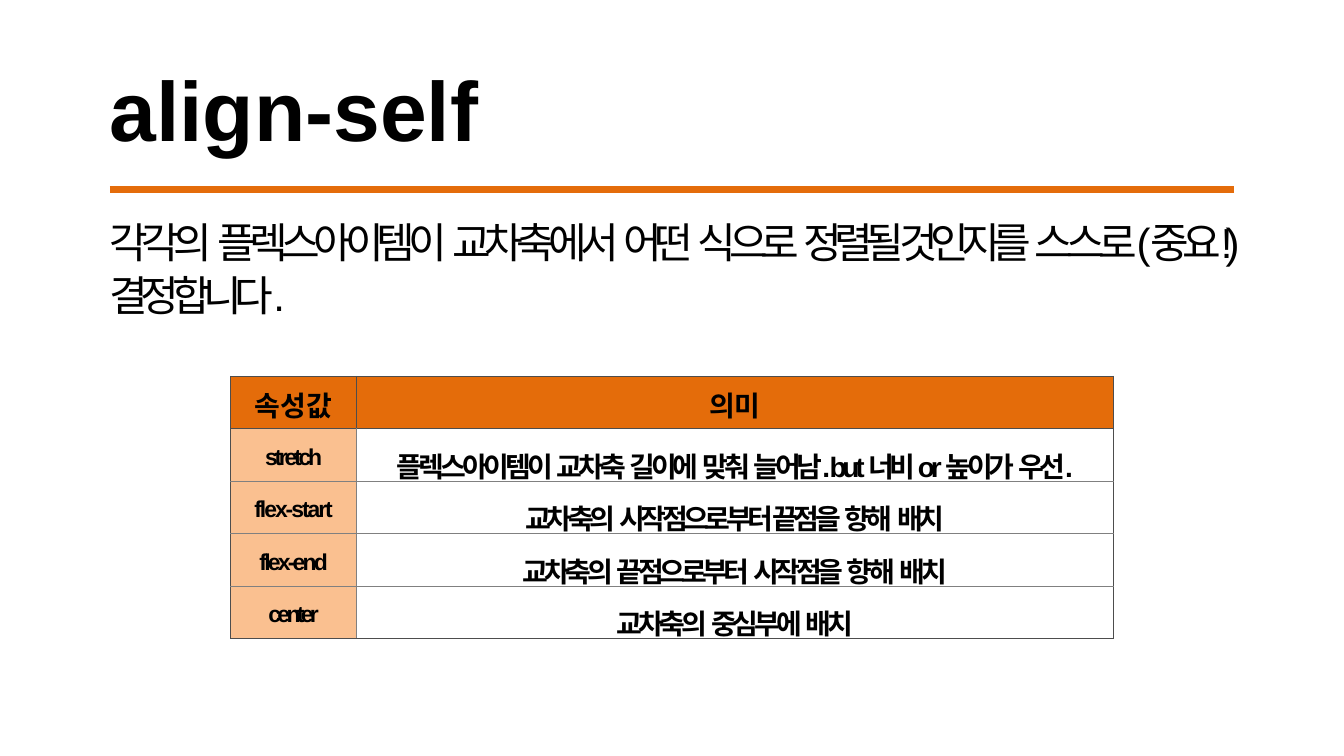
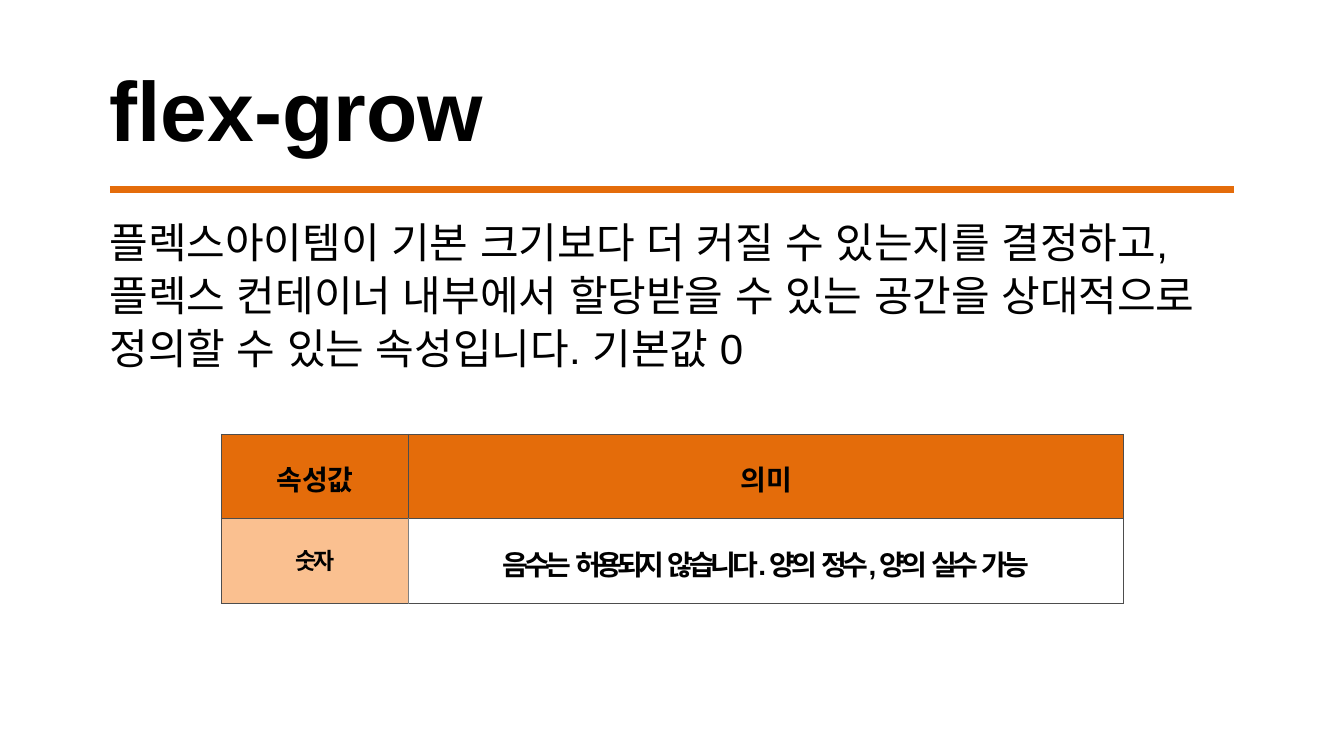
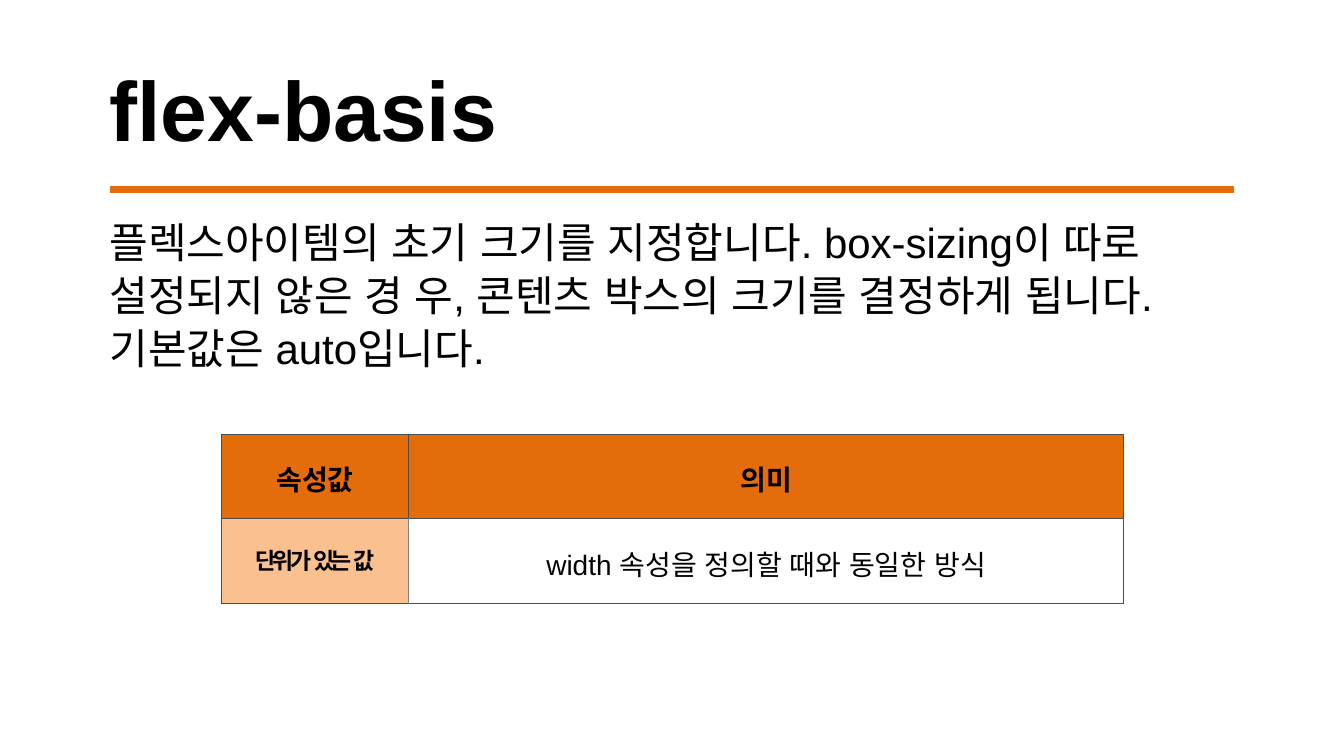
import pptx
import pptx.util
import pptx.dml.color
import pptx.enum.lang
import pptx.enum.shapes
import pptx.enum.text
import pptx.oxml.ns
import lxml.etree

Cm = pptx.util.Cm
Pt = pptx.util.Pt
RGBColor = pptx.dml.color.RGBColor
qn = pptx.oxml.ns.qn

# Shared look
ORANGE = RGBColor(0xE4, 0x6C, 0x0A)
PEACH = RGBColor(0xFA, 0xC0, 0x90)
BLACK = RGBColor(0x00, 0x00, 0x00)
DARK_GRAY = RGBColor(0x4D, 0x4D, 0x4D)
GRAY = RGBColor(0x80, 0x80, 0x80)
KOREAN_FACE = "Noto Sans CJK KR"
LEFT = Cm(4.55)
HEADER = ("속성값", "의미")

# Texts are lists of (words, letter spacing in points)
# Rows: label, meaning, meaning in bold
TOPICS = [
    dict(
        title="align-self", title_width=18.11,
        summary=[("각각의 ", -7.5), ("플렉스아이템이 ", -8), ("교차축에서 ", -7.8),
                 ("어떤 ", -8.9), ("식으로 ", -8.4), ("정렬될 것인지를 ", -9.2),
                 ("스스로(중요!) ", -8.2), ("결정합니다.", -8.6)],
        summary_size=(46.76, 4.5),
        table_at=(9.58, 15.64), columns=(5.24, 31.44), row_height=2.18,
        header_face="Comic Neue", header_inset=0.33, inset=0.66,
        rows=[
            ([("stretch", -3.8)],
             [("플렉스아이템이 ", -4.8), ("교차축 ", -4.7), ("길이에 ", -5),
              ("맞춰 ", -4.8), ("늘어남. but ", -5), ("너비 ", -5.7),
              ("or ", -4.8), ("높이가 ", -4.9), ("우선.", -5.4)], True),
            ([("flex-start", -2.4)],
             [("교차축의 ", -4.9), ("시작점으로부터 끝점을 ", -5.2),
              ("향해 ", -3.9), ("배치", -4.8)], True),
            ([("flex-end", -3.3)],
             [("교차축의 ", -4.9), ("끝점으로부터 ", -5.2), ("시작점을 ", -5),
              ("향해 ", -3.9), ("배치", -4.8)], True),
            ([("center", -4.3)],
             [("교차축의 ", -4.9), ("중심부에 ", -4.8), ("배치", -4.9)], True),
        ]),
    dict(
        title="flex-grow", title_width=20.02,
        summary=[("플렉스아이템이 기본 크기보다 더 커질 수 있는지를 결정하고, "
                  "플렉스 컨테이너 내부에서 할당받을 수 있는 공간을 상대적으로 "
                  "정의할 수 있는 속성입니다. 기본값 0", 0)],
        summary_size=(46.05, 6.76),
        table_at=(9.19, 18.05), columns=(7.8, 29.69), row_height=3.51,
        header_face=KOREAN_FACE, header_inset=0.99, inset=0.99,
        rows=[
            ([("숫자", -4.5)],
             [("음수는 ", -5), ("허용되지 ", -5.5), ("않습니다. 양의 ", -4.8),
              ("정수, ", -4.9), ("양의 ", -4.8), ("실수 ", -5.3), ("가능", -4.5)], True),
        ]),
    dict(
        title="flex-basis", title_width=18.11,
        summary=[("플렉스아이템의 초기 크기를 지정합니다. box-sizing이 따로 "
                  "설정되지 않은 경 우, 콘텐츠 박스의 크기를 결정하게 됩니다. "
                  "기본값은 auto입니다.", 0)],
        summary_size=(46.76, 6.76),
        table_at=(9.19, 18.05), columns=(7.8, 29.69), row_height=3.51,
        header_face=KOREAN_FACE, header_inset=0.99, inset=0.99,
        rows=[
            ([("단위가 ", -4.5), ("있는 ", -5.3), ("값", -4)],
             [("width 속성을 정의할 때와 동일한 방식", 0)], False),
        ]),
]


def write(frame, pieces, size, face="Arial", korean_face="Arial", bold=False,
          align=pptx.enum.text.PP_ALIGN.LEFT, inset=0.03):
    """Fill a text frame or table cell with one formatted paragraph."""
    frame.margin_left = frame.margin_right = frame.margin_bottom = 0
    frame.margin_top = Cm(inset)
    frame.vertical_anchor = pptx.enum.text.MSO_ANCHOR.TOP
    paragraph = getattr(frame, "text_frame", frame).paragraphs[0]
    paragraph.alignment = align
    font = paragraph.font
    font.size, font.bold, font.name = Pt(size), bold, face
    font.color.rgb = BLACK
    font.language_id = pptx.enum.lang.MSO_LANGUAGE_ID.KOREAN
    lxml.etree.SubElement(paragraph._p.pPr.find(qn("a:defRPr")), qn("a:ea"),
                          typeface=korean_face)
    for words, spacing in pieces:
        run = paragraph.add_run()
        run.text = words
        if spacing:
            run._r.get_or_add_rPr().set("spc", str(round(spacing * 100)))
    return paragraph


def add_borders(cell, colors):
    """Draw 1 pt borders, given in the order left, right, top, bottom."""
    properties = cell._tc.get_or_add_tcPr()
    for side, color in zip("LRTB", colors):
        line = lxml.etree.SubElement(properties, qn("a:ln" + side), w=str(Pt(1)))
        fill = lxml.etree.SubElement(line, qn("a:solidFill"))
        lxml.etree.SubElement(fill, qn("a:srgbClr"), val=str(color))


deck = pptx.Presentation()
deck.slide_width, deck.slide_height = Cm(55.85), Cm(31.42)

for topic in TOPICS:
    slide = deck.slides.add_slide(deck.slide_layouts[5])

    # Title
    title = slide.shapes.title
    title.left, title.top = LEFT, Cm(2.36)
    title.width, title.height = Cm(topic["title_width"]), Cm(4.27)
    title.text_frame.auto_size = pptx.enum.text.MSO_AUTO_SIZE.NONE
    write(title.text_frame, [(topic["title"], 0)], 99, bold=True)

    # Rule under the title
    rule = slide.shapes.add_connector(
        pptx.enum.shapes.MSO_CONNECTOR.STRAIGHT, Cm(4.57), Cm(7.87), Cm(51.28), Cm(7.87))
    rule.line.color.rgb = ORANGE
    rule.line.width = Pt(8.25)
    lxml.etree.SubElement(rule._element.spPr, qn("a:effectLst"))

    # Summary
    width, height = topic["summary_size"]
    summary = slide.shapes.add_textbox(LEFT, Cm(8.86), Cm(width), Cm(height)).text_frame
    summary.word_wrap = True
    write(summary, topic["summary"], 49.5).line_spacing = 1.05

    # Table of property values
    left, top = topic["table_at"]
    row_count = len(topic["rows"]) + 1
    values = slide.shapes.add_table(
        row_count, 2, Cm(left), Cm(top),
        Cm(sum(topic["columns"])), Cm(topic["row_height"] * row_count)).table
    values.first_row = values.horz_banding = False
    for column, width in zip(values.columns, topic["columns"]):
        column.width = Cm(width)
    for row in values.rows:
        row.height = Cm(topic["row_height"])

    cell_style = dict(align=pptx.enum.text.PP_ALIGN.CENTER, korean_face=KOREAN_FACE)
    for index, heading in enumerate(HEADER):
        cell = values.cell(0, index)
        write(cell, [(heading, 0)], 33, topic["header_face"], bold=True,
              inset=topic["header_inset"], **cell_style)
        add_borders(cell, [DARK_GRAY] * 4)
        cell.fill.solid()
        cell.fill.fore_color.rgb = ORANGE

    for index, (name, meaning, bold) in enumerate(topic["rows"], 1):
        above = DARK_GRAY if index == 1 else GRAY
        below = DARK_GRAY if index == row_count - 1 else GRAY
        label, detail = values.cell(index, 0), values.cell(index, 1)
        write(label, name, 27, bold=True, inset=topic["inset"], **cell_style)
        write(detail, meaning, 33, bold=bold, inset=topic["inset"], **cell_style)
        add_borders(label, [DARK_GRAY, GRAY, above, below])
        add_borders(detail, [GRAY, DARK_GRAY, above, below])
        label.fill.solid()
        label.fill.fore_color.rgb = PEACH
        detail.fill.background()

deck.save("out.pptx")
